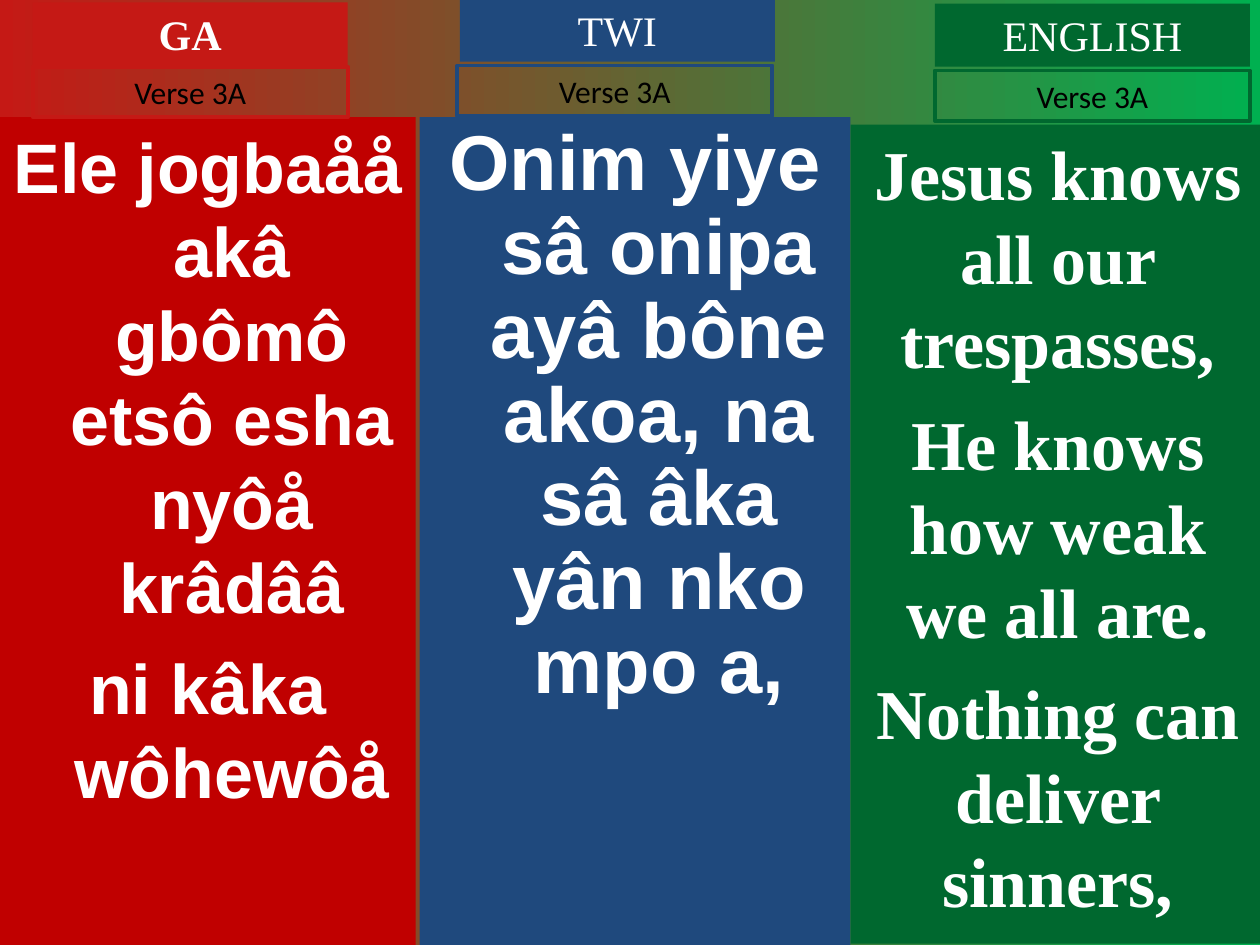
import pptx
import pptx.util
import pptx.dml.color
import pptx.enum.shapes
import pptx.enum.text
from pptx.util import Inches

COLORS = {
    "bg_left": "C51915", "bg_right": "00B050", "ga": "C00000",
    "ga_label": "C51915", "twi": "1F497D", "english": "00682F",
    "white": "FFFFFF", "black": "000000",
}


class Hymn:
    heading_font = "Times New Roman"
    verse_font = "Calibri"
    hanging = Inches(0.38)

    def __init__(self, prs):
        self.s = prs.slides.add_slide(prs.slide_layouts[6])

    def rgb(self, name):
        return pptx.dml.color.RGBColor.from_string(COLORS[name])

    def background(self, left, right):
        fill = self.s.background.fill
        fill.gradient()
        fill.gradient_angle = 0
        for stop, color, position in zip(fill.gradient_stops, (left, right), (0, 1)):
            stop.color.rgb = self.rgb(color)
            stop.position = position

    def box(self, at, fill=None, line=None):
        rect = pptx.enum.shapes.MSO_SHAPE.RECTANGLE
        sp = self.s.shapes.add_shape(rect, *map(Inches, at))
        sp.shadow.inherit = False
        if fill:
            sp.fill.solid()
            sp.fill.fore_color.rgb = self.rgb(fill)
        else:
            sp.fill.background()
        if line:
            sp.line.color.rgb = self.rgb(line)
            sp.line.width = pptx.util.Pt(2.25)
        else:
            sp.line.fill.background()
        tf = sp.text_frame
        tf.word_wrap = True
        tf.vertical_anchor = pptx.enum.text.MSO_ANCHOR.TOP
        return tf

    def text(self, p, text, size, font, color="white", bold=False):
        p.alignment = pptx.enum.text.PP_ALIGN.CENTER
        r = p.add_run()
        r.text = text
        r.font.size = pptx.util.Pt(size)
        r.font.name = font
        r.font.bold = bold
        r.font.color.rgb = self.rgb(color)

    def lyrics(self, at, fill, lines, size, font, hanging=False, spacing=None):
        tf = self.box(at, fill=fill)
        for i, line in enumerate(lines):
            p = tf.add_paragraph() if i else tf.paragraphs[0]
            if i:
                p.space_before = pptx.util.Pt(10)
            if spacing:
                p.line_spacing = spacing
            if hanging:
                pPr = p._p.get_or_add_pPr()
                pPr.set("marL", str(self.hanging))
                pPr.set("indent", str(-self.hanging))
            self.text(p, line, size, font, bold=True)

    def heading(self, left, top, title, color, bold=False):
        tf = self.box((left, top, 2.5, 0.5), fill=color)
        self.text(tf.paragraphs[0], title, 24, self.heading_font, bold=bold)

    def verse(self, left, top, label, color):
        tf = self.box((left, top, 2.5, 0.4), line=color)
        self.text(tf.paragraphs[0], label, 18, self.verse_font, "black")


def main():
    prs = pptx.Presentation()
    prs.slide_width, prs.slide_height = Inches(10), Inches(7.5)
    hymn = Hymn(prs)
    hymn.background("bg_left", "bg_right")
    hymn.lyrics((0, 0.93, 3.3, 6.57), "ga",
                ["Ele jogbaåå akâ gbômô etsô esha nyôå krâdââ", "ni kâka wôhewôå"],
                40, "Arial", hanging=True)
    hymn.lyrics((3.33, 0.93, 3.42, 6.57), "twi",
                ["Onim yiye sâ onipa ayâ bône akoa, na sâ âka yân nko mpo a,"],
                44.4, "Arial", hanging=True, spacing=0.9)
    hymn.lyrics((6.75, 0.99, 3.29, 6.5), "english",
                ["Jesus knows all our trespasses,", "He knows how weak we all are.",
                 "Nothing can deliver sinners,"],
                40, "Times New Roman")
    hymn.heading(0.26, 0.02, "GA", "ga_label", bold=True)
    hymn.heading(3.65, -0.01, "TWI", "twi")
    hymn.heading(7.42, 0.03, "ENGLISH", "english")
    for left, top, color in ((0.26, 0.53, "ga_label"), (3.63, 0.52, "twi"),
                             (7.42, 0.56, "english")):
        hymn.verse(left, top, "Verse 3A", color)
    prs.save("out.pptx")


if __name__ == "__main__":
    main()
